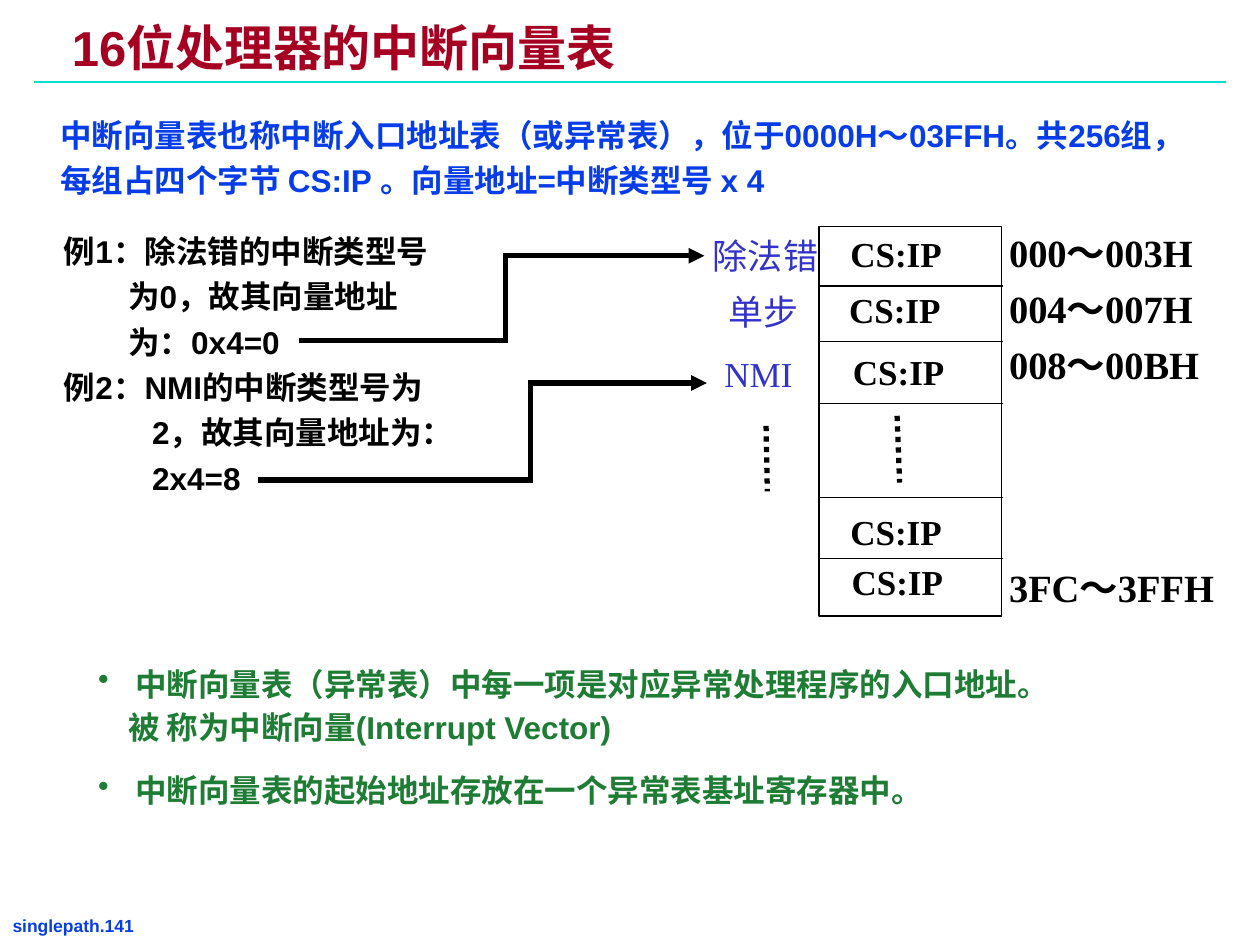
from lxml.etree import SubElement
from pptx import Presentation
from pptx.dml.color import RGBColor
from pptx.enum.dml import MSO_LINE
from pptx.enum.shapes import MSO_CONNECTOR, MSO_SHAPE
from pptx.enum.text import MSO_ANCHOR
from pptx.oxml.ns import qn
from pptx.util import Inches, Pt

BLACK, RED, BLUE = "000000", "A50021", "063DE8"
GREEN, VIOLET, TEAL = "1E7C34", "3333CC", "00DFCA"
SERIF = "Times New Roman"

deck = Presentation()
deck.slide_width, deck.slide_height = Inches(10), Inches(7.5)
page = deck.slides.add_slide(deck.slide_layouts[6])


def add_text(place, lines, size, color, font="Arial", bold=True, spacing=1.0,
             before=0, insets=(0.1, 0.05), bullet=None, wrap=True):
    """Each line is (text, left indent, first-line indent)."""
    box = page.shapes.add_textbox(*[Inches(value) for value in place])
    frame = box.text_frame
    frame.word_wrap = wrap
    frame.margin_left = frame.margin_right = Inches(insets[0])
    frame.margin_top = frame.margin_bottom = Inches(insets[1])
    for index, (text, left, first) in enumerate(lines):
        para = frame.paragraphs[0] if index == 0 else frame.add_paragraph()
        properties = para._p.get_or_add_pPr()
        properties.set("marL", str(Inches(left)))
        properties.set("indent", str(Inches(first)))
        if bullet:
            tint = SubElement(properties, qn("a:buClr"))
            SubElement(tint, qn("a:srgbClr"), val=color)
            SubElement(properties, qn("a:buChar"), char=bullet)
        para.line_spacing = spacing
        para.space_before = Pt(before if index else 0)
        span = para.add_run()
        span.text = text
        formats = {"name": font, "size": Pt(size), "bold": bold}
        for name, value in formats.items():
            setattr(span.font, name, value)
        span.font.color.rgb = RGBColor.from_string(color)
    return frame


def add_line(start_x, start_y, end_x, end_y, width, color=BLACK, dash=None, arrow=False):
    ends = [Inches(value) for value in (start_x, start_y, end_x, end_y)]
    line = page.shapes.add_connector(MSO_CONNECTOR.STRAIGHT, *ends)
    line.line.width = Pt(width)
    line.line.color.rgb = RGBColor.from_string(color)
    if dash:
        line.line.dash_style = dash
    if arrow:
        SubElement(line.line._get_or_add_ln(), qn("a:tailEnd"), type="triangle")
    SubElement(line._element.spPr, qn("a:effectLst"))


# Title, rule and footer
title = add_text((0.5, 0.18, 8.75, 0.46), [("16位处理器的中断向量表", 0, 0)], 28, RED,
                 spacing=0.87, insets=(0.07, 0.03))
title.vertical_anchor = MSO_ANCHOR.MIDDLE
add_line(0.27, 0.65, 9.73, 0.65, 1.5, TEAL)
add_text((0.03, 7.23, 1.54, 0.22), [("singlepath.141", 0, 0)], 10, BLUE,
         insets=(0.07, 0.03), wrap=False)

# Introduction
introduction = ("中断向量表也称中断入口地址表（或异常表），位于0000H～03FFH。共256组，"
                "每组占四个字节 CS:IP 。向量地址=中断类型号 x 4")
add_text((0.38, 0.81, 9.04, 0.82), [(introduction, 0, 0)], 18, BLUE, spacing=1.2)

# Worked examples
examples = [
    ("例1：除法错的中断类型号", 0, 0),
    ("为0，故其向量地址", 0.51, 0),
    ("为：0x4=0", 0.51, 0),
    ("例2：NMI的中断类型号为", 0, 0),
    ("2，故其向量地址为：", 0.7, 0),
    ("2x4=8", 0.7, 0),
]
add_text((0.41, 1.76, 3.67, 2.24), examples, 18, BLACK, spacing=1.1, before=2.2)

# Vector table frame and row dividers
table_left, table_top, table_width, table_height = 6.5, 1.8, 1.45, 3.09
frame_box = page.shapes.add_shape(
    MSO_SHAPE.RECTANGLE, Inches(table_left), Inches(table_top),
    Inches(table_width), Inches(table_height))
frame_box.shadow.inherit = False
frame_box.fill.background()
frame_box.line.width = Pt(0.75)
frame_box.line.color.rgb = RGBColor.from_string(BLACK)
for divider in (2.27, 2.71, 3.2, 3.95, 4.43):
    add_line(table_left, divider, table_left + table_width + 0.01, divider, 0.75)

# Table entries and interrupt names
for left, top in ((6.65, 1.8), (6.64, 2.24), (6.67, 2.73), (6.65, 4), (6.66, 4.4)):
    add_text((left, top, 1.28, 0.44), [("CS:IP", 0, 0)], 20, BLACK, SERIF)
for left, top, name in ((5.56, 1.81, "除法错"), (5.68, 2.26, "单步"), (5.65, 2.75, "NMI")):
    add_text((left, top, 1.28, 0.44), [(name, 0, 0)], 20, VIOLET, SERIF, bold=False)

# Address ranges, the last one set apart
addresses = [("000～003H", 0, 0), ("004～007H", 0, 0), ("008～00BH", 0, 0), ("3FC～3FFH", 0, 0)]
address_frame = add_text((7.91, 1.77, 2.09, 3.57), addresses, 22, BLACK, SERIF, before=5.5)
address_frame.paragraphs[-1].space_before = Pt(101)

# Dotted continuation marks
add_line(7.12, 3.3, 7.14, 3.83, 3, dash=MSO_LINE.ROUND_DOT)
add_line(6.08, 3.38, 6.09, 3.9, 3, dash=MSO_LINE.ROUND_DOT)

# Stepped arrows from the examples to the names
for start, bend, end, low, high in ((2.37, 4.01, 5.59, 2.7, 2.03), (2.05, 4.21, 5.61, 3.81, 3.04)):
    add_line(start, low, bend, low, 3)
    add_line(bend, low + 0.02, bend, high - 0.02, 3)
    add_line(bend, high, end, high, 3, arrow=True)

# Summary bullets
summary = [
    (" 中断向量表（异常表）中每一项是对应异常处理程序的入口地址。"
     "被 称为中断向量(Interrupt Vector)", 0.24, -0.24),
    (" 中断向量表的起始地址存放在一个异常表基址寄存器中。", 0.24, -0.24),
]
add_text((0.68, 5.18, 7.94, 1.29), summary, 18, GREEN, spacing=1.15, before=11.2, bullet="•")

deck.save("out.pptx")
